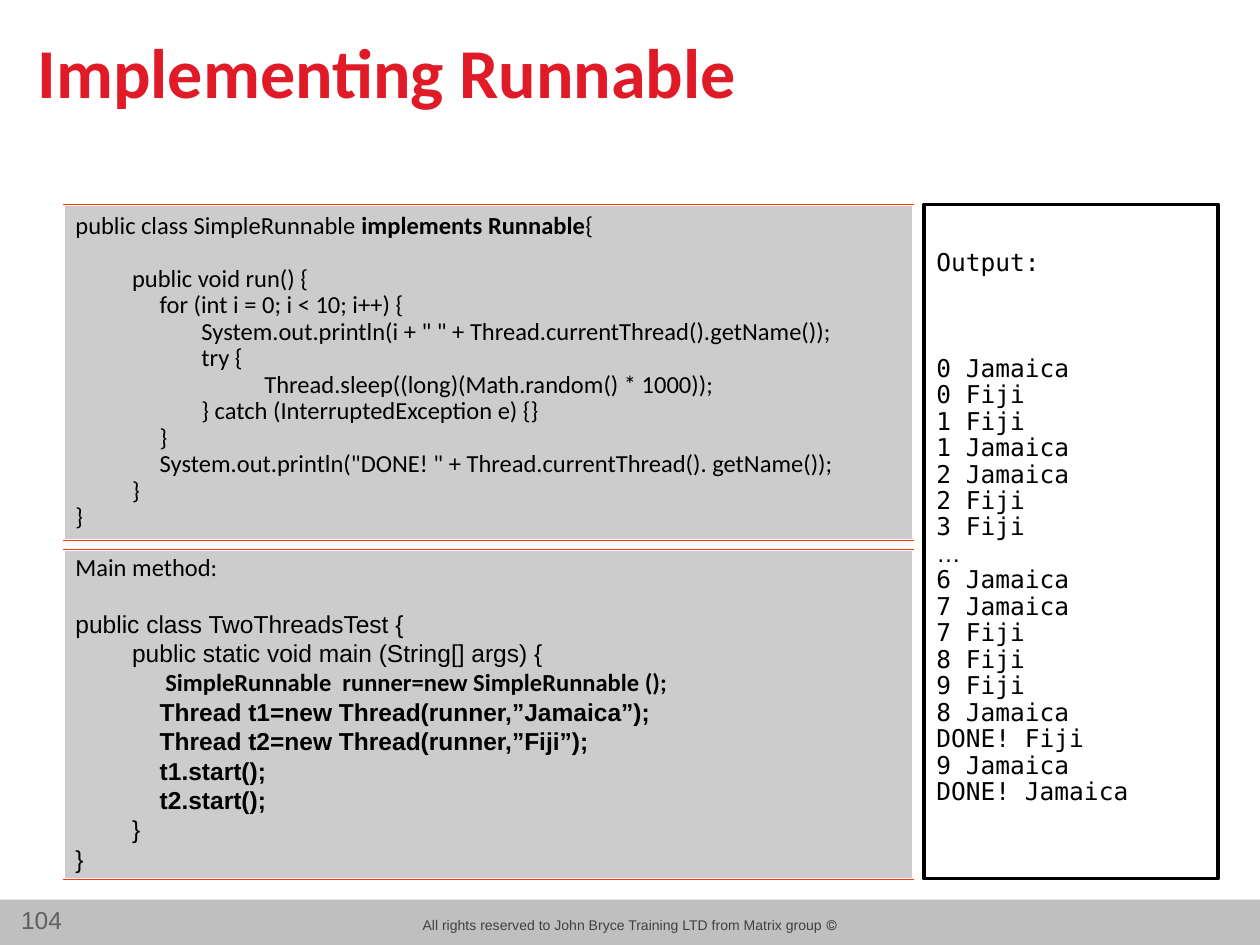
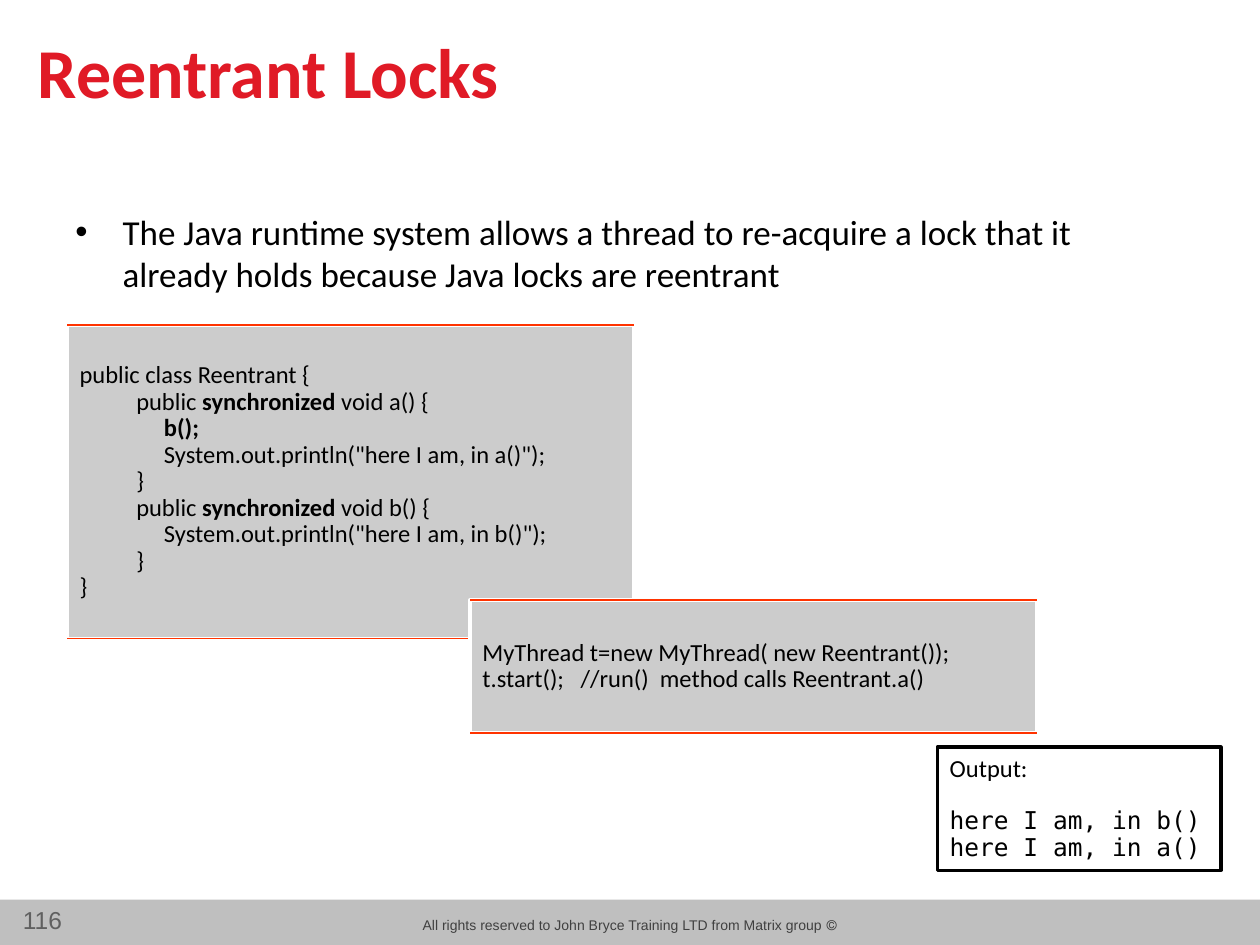
from lxml import etree
from pptx import Presentation
from pptx.dml.color import RGBColor
from pptx.enum.shapes import MSO_CONNECTOR, MSO_SHAPE
from pptx.enum.text import MSO_ANCHOR, MSO_AUTO_SIZE, PP_ALIGN
from pptx.oxml.ns import qn
from pptx.util import Pt

RECTANGLE = MSO_SHAPE.RECTANGLE
STRAIGHT = MSO_CONNECTOR.STRAIGHT
MIDDLE, TOP = MSO_ANCHOR.MIDDLE, MSO_ANCHOR.TOP
LEFT, CENTER, RIGHT = PP_ALIGN.LEFT, PP_ALIGN.CENTER, PP_ALIGN.RIGHT
NO_AUTOFIT = MSO_AUTO_SIZE.NONE

COLORS = {
    "title": "E01A26",
    "text": "000000",
    "white": "FFFFFF",
    "code": "CCCCCC",
    "rule": "FF3300",
    "band": "BFBFBF",
    "copyright": "404040",
    "number": "606060",
}
HEADING_FONT, PLAIN_FONT, MONO_FONT = "Calibri", "Arial", "DejaVu Sans Mono"
CODE_TABS = (Pt(32.4), Pt(48.2))
BLANK_LINE = 15
COPYRIGHT = "© All rights reserved to John Bryce Training LTD from Matrix group"


def color(name):
    return RGBColor.from_string(COLORS[name])


def write(frame, *lines, size=14, font=HEADING_FONT, ink="text", bold=False,
          align=LEFT, spacing=None, gap=0, tabs=(), bullet=None, rtl=False):
    """Append lines to a frame; ** switches bold, gap precedes the first line."""
    for index, line in enumerate(lines):
        paragraph = frame.add_paragraph() if frame.text else frame.paragraphs[0]
        paragraph.alignment = align
        paragraph.line_spacing = spacing
        if gap and index == 0:
            paragraph.space_before = Pt(gap)
        properties = paragraph._p.get_or_add_pPr()
        if rtl:
            properties.set("rtl", "1")
        if bullet:
            properties.set("marL", str(Pt(27)))
            properties.set("indent", str(-Pt(27)))
            etree.SubElement(properties, qn("a:buFont"), typeface=PLAIN_FONT)
            etree.SubElement(properties, qn("a:buChar"), char=bullet)
        if tabs:
            stops = etree.SubElement(properties, qn("a:tabLst"))
            for stop in tabs:
                etree.SubElement(stops, qn("a:tab"), pos=str(stop), algn="l")
        for part, words in enumerate(line.split("**")):
            if words:
                run = paragraph.add_run()
                run.text = words
                run.font.size = Pt(size)
                run.font.name = font
                run.font.bold = bold or part % 2 == 1
                run.font.color.rgb = color(ink)


def write_code(frame, *lines, spacing=0.9, **style):
    write(frame, *lines, spacing=spacing, tabs=CODE_TABS, **style)


class Deck:
    def __init__(self):
        self.presentation = Presentation()
        self.presentation.slide_width = Pt(720)
        self.presentation.slide_height = Pt(540)
        self.slide = None

    def start_slide(self, title, number):
        layout = self.presentation.slide_layouts[5]
        self.slide = self.presentation.slides.add_slide(layout)
        self.box(0, 514, 720, 26, "band")
        write(self.text(229, 520, 262, 17), COPYRIGHT, size=8, font=PLAIN_FONT,
              ink="copyright", align=CENTER, rtl=True)
        write(self.text(-6.5, 513.4, 49, 24.5), number, font=PLAIN_FONT,
              ink="number", align=RIGHT)
        heading = self.slide.shapes.title
        heading.left, heading.top = Pt(14.4), Pt(10)
        heading.width, heading.height = Pt(578), Pt(61)
        frame = heading.text_frame
        frame.auto_size = NO_AUTOFIT
        frame.vertical_anchor = MIDDLE
        write(frame, title, size=40, ink="title", bold=True)

    def text(self, left, top, width, height):
        area = self.slide.shapes.add_textbox(Pt(left), Pt(top), Pt(width), Pt(height))
        frame = area.text_frame
        frame.word_wrap = True
        frame.vertical_anchor = TOP
        return frame

    def box(self, left, top, width, height, fill, outline=None):
        shape = self.slide.shapes.add_shape(
            RECTANGLE, Pt(left), Pt(top), Pt(width), Pt(height))
        shape.shadow.inherit = False
        shape.fill.solid()
        shape.fill.fore_color.rgb = color(fill)
        if outline:
            shape.line.color.rgb = color(outline)
            shape.line.width = Pt(2)
        else:
            shape.line.fill.background()
        frame = shape.text_frame
        frame.word_wrap = True
        frame.vertical_anchor = MIDDLE
        return frame

    def rule(self, left, y, width):
        line = self.slide.shapes.add_connector(
            STRAIGHT, Pt(left), Pt(y), Pt(left + width), Pt(y))
        line.line.color.rgb = color("rule")
        line.line.width = Pt(0.75)
        etree.SubElement(line._element.spPr, qn("a:effectLst"))

    def code_panel(self, left, top, width, height, bottom_width=None):
        """Grey box with a rule on its top and bottom edges."""
        frame = self.box(left, top, width, height, "code", "white")
        self.rule(left, top, width)
        self.rule(left, top + height, bottom_width or width)
        return frame

    def output_panel(self, left, top, width, height):
        return self.box(left, top, width, height, "white", "text")


def add_runnable_slide(deck):
    deck.start_slide("Implementing Runnable", "104")
    runnable = deck.code_panel(36, 116.8, 486, 192)
    write_code(runnable, "public class SimpleRunnable **implements Runnable**{")
    write_code(
        runnable,
        "\tpublic void run() {",
        "\t\tfor (int i = 0; i < 10; i++) {",
        '\t\t\tSystem.out.println(i + " " + Thread.currentThread().getName());',
        "\t\t\ttry {",
        "\t\t\t\tThread.sleep((long)(Math.random() * 1000));",
        "\t\t\t} catch (InterruptedException e) {}",
        "\t\t}",
        '\t\tSystem.out.println("DONE! " + Thread.currentThread(). getName());',
        "\t}",
        "}",
        gap=BLANK_LINE)

    main_method = deck.code_panel(36, 314, 486, 188.6)
    write_code(main_method, "Main method:")
    write_code(
        main_method,
        "public class TwoThreadsTest {",
        "\tpublic static void main (String[] args) {",
        font=PLAIN_FONT, spacing=1, gap=BLANK_LINE)
    write_code(main_method, "\t\t **SimpleRunnable  runner=new SimpleRunnable ();",
               spacing=1)
    write_code(
        main_method,
        "\t\t**Thread t1=new Thread(runner,”Jamaica”);",
        "\t\t**Thread t2=new Thread(runner,”Fiji”);",
        "\t\t**t1.start();",
        "\t\t**t2.start();",
        "\t}",
        "}",
        font=PLAIN_FONT, spacing=1)

    output = deck.output_panel(528, 116.8, 168, 385.4)
    output.margin_bottom = Pt(3.6 + BLANK_LINE)
    mono = {"font": MONO_FONT, "spacing": 0.9}
    write(output, "Output:", **mono)
    write(output, "0 Jamaica", "0 Fiji", "1 Fiji", "1 Jamaica", "2 Jamaica",
          "2 Fiji", "3 Fiji", gap=3 * BLANK_LINE, **mono)
    write(output, "…", font=PLAIN_FONT, spacing=0.9)
    write(output, "6 Jamaica", "7 Jamaica", "7 Fiji", "8 Fiji", "9 Fiji",
          "8 Jamaica", "DONE! Fiji", "9 Jamaica", "DONE! Jamaica", **mono)


def add_locks_slide(deck):
    deck.start_slide("Reentrant Locks", "116")
    write(deck.text(36, 116.8, 648, 385.4),
          "The Java runtime system allows a thread to re-acquire a lock that it "
          "already holds because Java locks are reentrant",
          size=20, bullet="•")

    reentrant = deck.code_panel(38.4, 185.8, 324, 179.2, bottom_width=230)
    write_code(
        reentrant,
        "public class Reentrant {",
        "\tpublic **synchronized** void a() {",
        "\t\t**b();",
        '\t\tSystem.out.println("here I am, in a()");',
        "\t}",
        "\tpublic **synchronized** void b() {",
        '\t\tSystem.out.println("here I am, in b()");',
        "\t}",
        "}")

    caller = deck.code_panel(268.6, 342.8, 324, 76)
    write_code(
        caller,
        "MyThread t=new MyThread( new Reentrant());",
        "t.start();   //run()  method calls Reentrant.a()")

    output = deck.output_panel(535.6, 427, 162, 70.4)
    write(output, "Output:", spacing=0.9)
    write(output, "here I am, in b()", "here I am, in a()",
          font=MONO_FONT, spacing=0.9, gap=BLANK_LINE)


def main():
    deck = Deck()
    add_runnable_slide(deck)
    add_locks_slide(deck)
    deck.presentation.save("out.pptx")


if __name__ == "__main__":
    main()
